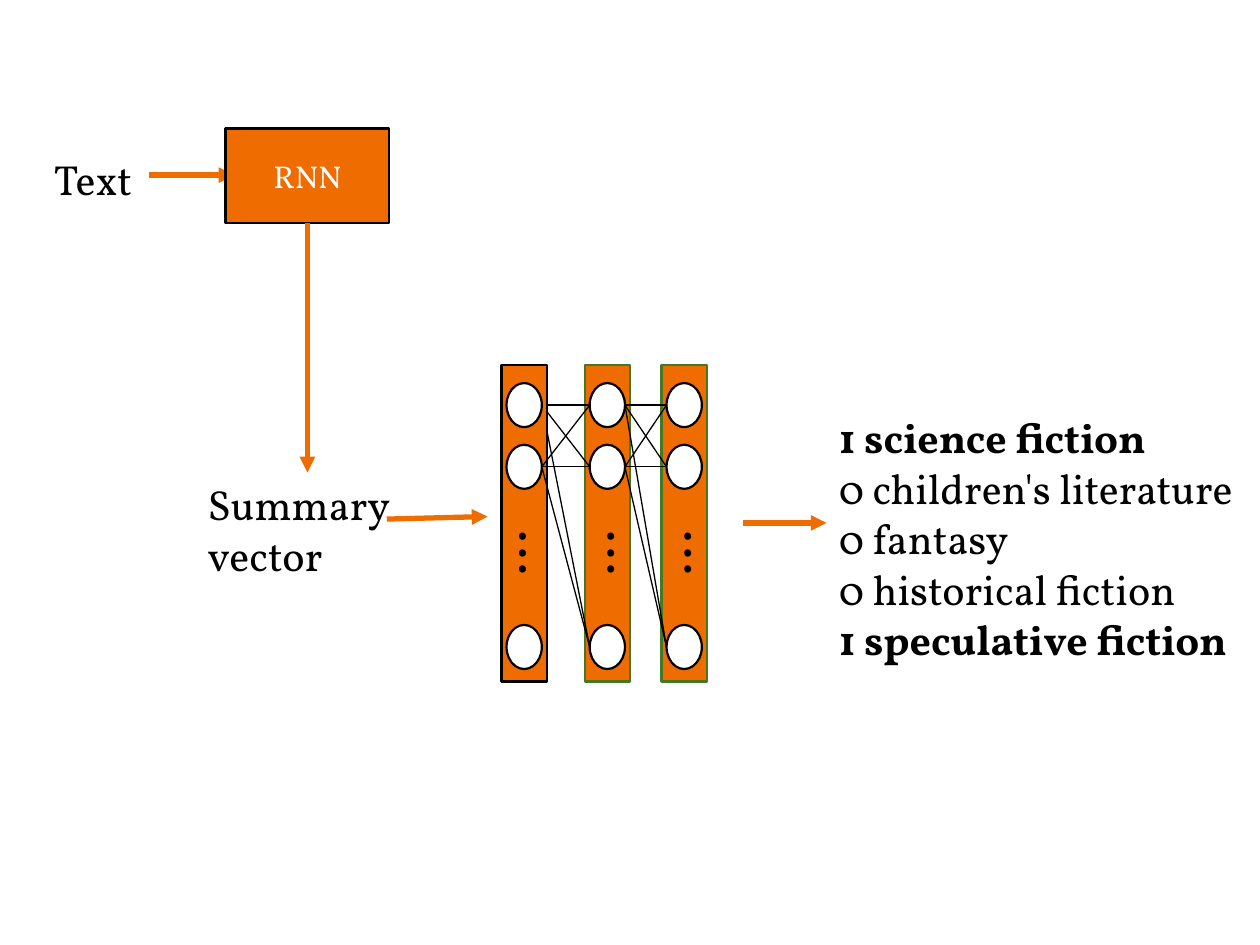
from lxml import etree
from pptx import Presentation
from pptx.dml.color import RGBColor
from pptx.enum.shapes import MSO_CONNECTOR, MSO_SHAPE
from pptx.enum.text import MSO_ANCHOR, PP_ALIGN
from pptx.oxml.ns import qn
from pptx.util import Inches, Pt

RECTANGLE, OVAL = MSO_SHAPE.RECTANGLE, MSO_SHAPE.OVAL
STRAIGHT = MSO_CONNECTOR.STRAIGHT
CENTER, MIDDLE = PP_ALIGN.CENTER, MSO_ANCHOR.MIDDLE
FONT = "Vollkorn"
ORANGE, BLACK, WHITE, GREEN = "EF6C00", "000000", "FFFFFF", "457825"

INPUT_LEFT, HIDDEN_LEFT, OUTPUT_LEFT = 3.98, 4.64, 5.25
LAYER_TOP, LAYER_WIDTH, LAYER_HEIGHT = 2.9, 0.36, 2.51
NEURON_TOPS = (3.04, 3.53, 4.96)
NEURON_INSET, NEURON_WIDTH, NEURON_HEIGHT = 0.04, 0.28, 0.35

GENRES = (
    ("1 science fiction", True),
    ("0 children's literature", False),
    ("0 fantasy", False),
    ("0 historical fiction", False),
    ("1 speculative fiction", True),
)


def rgb(value):
    return RGBColor.from_string(value)


def write(paragraph, text, size=24, color=BLACK, bold=False, align=None):
    run = paragraph.add_run()
    run.text = text
    run.font.name = FONT
    run.font.size = Pt(size)
    run.font.bold = bold
    run.font.color.rgb = rgb(color)
    paragraph.alignment = align


def add_label(shapes, box, lines, rotation=0, **text_format):
    """Add a text box with one paragraph per (text, bold) pair."""
    label = shapes.add_textbox(*map(Inches, box))
    label.rotation = rotation
    frame = label.text_frame
    frame.word_wrap = True
    for index, (text, bold) in enumerate(lines):
        paragraph = frame.add_paragraph() if index else frame.paragraphs[0]
        write(paragraph, text, bold=bold, **text_format)
    return label


def add_block(shapes, kind, box, fill, outline=BLACK):
    block = shapes.add_shape(kind, *map(Inches, box))
    block.shadow.inherit = False
    block.fill.solid()
    block.fill.fore_color.rgb = rgb(fill)
    block.line.color.rgb = rgb(outline)
    block.line.width = Pt(1.25)
    return block


def add_line(shapes, start, end, color=BLACK, width=0.75):
    line = shapes.add_connector(STRAIGHT, *map(Inches, start + end))
    line.line.color.rgb = rgb(color)
    line.line.width = Pt(width)
    etree.SubElement(line._element.spPr, qn("a:effectLst"))
    return line


def add_arrow(shapes, start, end):
    arrow = add_line(shapes, start, end, ORANGE, 3)
    etree.SubElement(arrow.line._get_or_add_ln(), qn("a:tailEnd"), type="triangle")
    return arrow


def add_layer(shapes, left, outline, dots_left):
    """Group a column of neurons with an upright ellipsis for those left out."""
    layer = shapes.add_group_shape().shapes
    add_block(layer, RECTANGLE, (left, LAYER_TOP, LAYER_WIDTH, LAYER_HEIGHT),
              ORANGE, outline)
    for top in NEURON_TOPS:
        add_block(layer, OVAL,
                  (left + NEURON_INSET, top, NEURON_WIDTH, NEURON_HEIGHT), WHITE)
    add_label(layer, (dots_left, 4.03, 0.37, 0.53), [("…", False)],
              rotation=90, size=30)


def add_links(shapes, source_left, target_left, source_top):
    """Link one neuron to every neuron of the next layer."""
    start_x = source_left + NEURON_INSET + NEURON_WIDTH
    for target_top in NEURON_TOPS:
        add_line(shapes,
                 (start_x, source_top + NEURON_HEIGHT / 2),
                 (target_left + NEURON_INSET, target_top + NEURON_HEIGHT / 2))


def add_network(shapes):
    first, second = NEURON_TOPS[:2]
    add_layer(shapes, HIDDEN_LEFT, GREEN, 4.84)
    add_layer(shapes, OUTPUT_LEFT, GREEN, 5.45)
    add_links(shapes, INPUT_LEFT, HIDDEN_LEFT, first)
    add_layer(shapes, INPUT_LEFT, BLACK, 4.14)
    add_links(shapes, INPUT_LEFT, HIDDEN_LEFT, second)
    for source_top in (first, second):
        add_links(shapes, HIDDEN_LEFT, OUTPUT_LEFT, source_top)


def add_encoder(shapes):
    """Add the path from the text through the RNN to its summary vector."""
    add_label(shapes, (0.33, 1.17, 0.85, 0.45), [("Text", False)])
    add_arrow(shapes, (1.18, 1.39), (1.86, 1.39))
    rnn = add_block(shapes, RECTANGLE, (1.79, 1.02, 1.3, 0.75), ORANGE)
    rnn.text_frame.vertical_anchor = MIDDLE
    write(rnn.text_frame.paragraphs[0], "RNN", size=18, color=WHITE, align=CENTER)
    add_label(shapes, (1.55, 3.75, 1.78, 0.81), [("Summary vector", False)])
    summary_arrow = add_arrow(shapes, (2.44, 1.77), (2.44, 3.75))
    summary_arrow.begin_connect(rnn, 2)


def main():
    presentation = Presentation()
    presentation.slide_width = Inches(10)
    presentation.slide_height = Inches(7.5)
    shapes = presentation.slides.add_slide(presentation.slide_layouts[6]).shapes

    add_encoder(shapes)
    add_network(shapes)
    add_arrow(shapes, (3.07, 4.12), (3.87, 4.1))
    add_arrow(shapes, (5.9, 4.15), (6.56, 4.15))
    add_label(shapes, (6.56, 3.22, 3.78, 2.19), GENRES)

    presentation.save("out.pptx")


if __name__ == "__main__":
    main()
